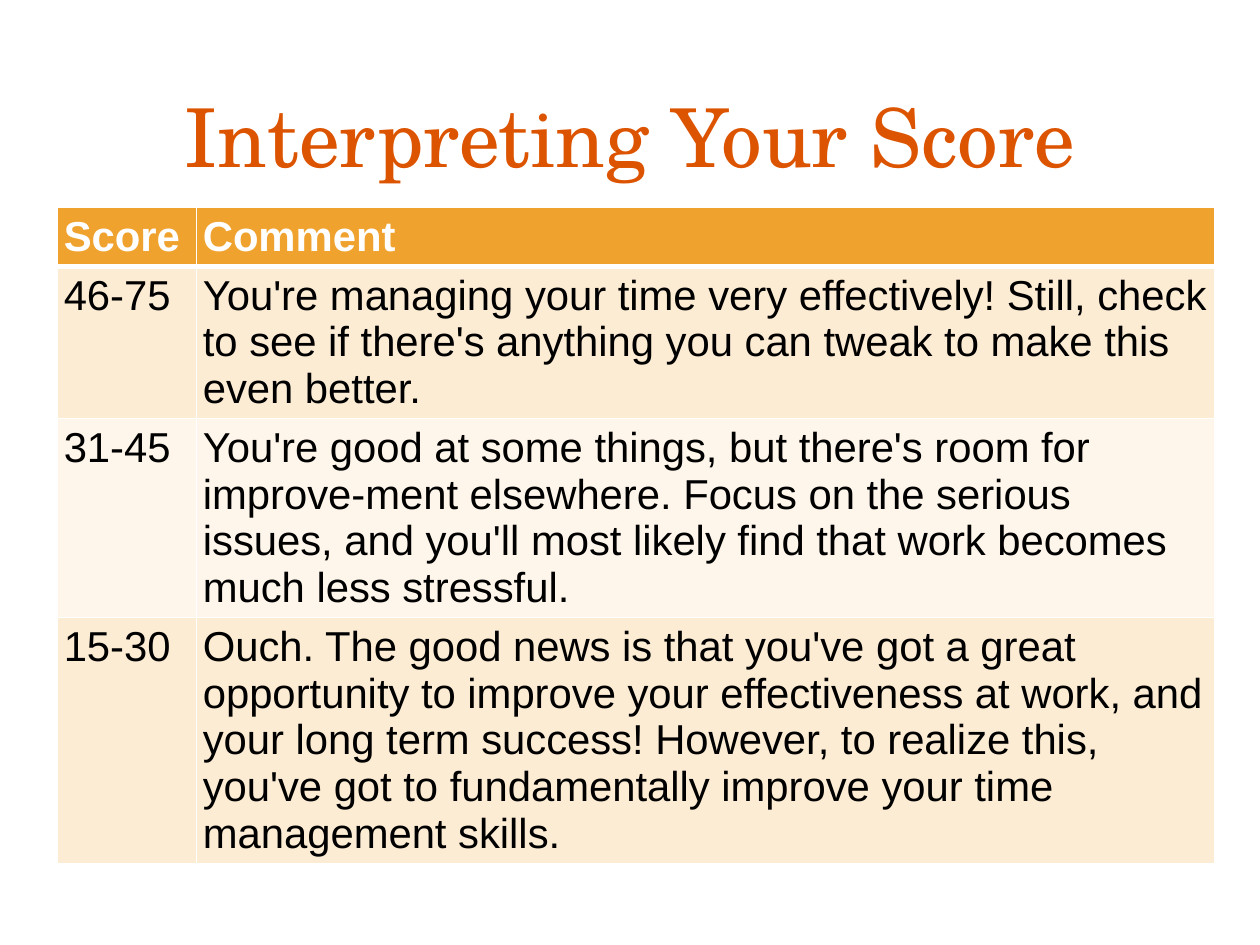
"""Build the slide that explains time management scores in a table."""
from lxml.etree import SubElement
from pptx import Presentation
from pptx.dml.color import RGBColor
from pptx.enum.text import MSO_ANCHOR, PP_ALIGN
from pptx.oxml.ns import qn
from pptx.util import Inches, Pt

TITLE = "Interpreting Your Score"
ROWS = [
    ("Score", "Comment"),
    ("46-75", "You're managing your time very effectively! Still, check to see "
              "if there's anything you can tweak to make this even better."),
    ("31-45", "You're good at some things, but there's room for improve-ment "
              "elsewhere. Focus on the serious issues, and you'll most likely "
              "find that work becomes much less stressful."),
    ("15-30", "Ouch. The good news is that you've got a great opportunity to "
              "improve your effectiveness at work, and your long term success! "
              "However, to realize this, you've got to fundamentally improve "
              "your time management skills."),
]
COLORS = {"title": "DD5400", "header": "F0A22E", "odd": "FCECD4",
          "even": "FEF6EB", "white": "FFFFFF", "black": "000000"}
SLIDE_SIZE = (14.22, 10.67)
TITLE_BOX = (0.9, 0.69, 12.42, 1.67)
TABLE_AT = (0.65, 2.34)
COL_WIDTHS = (1.57, 11.49)
ROW_HEIGHTS = (0.64, 1.66, 2.07, 2.68)
THIN, THICK = 1.42, 4.27


def write(tf, text, size=34, font="Arial", color="black", bold=False,
          align=PP_ALIGN.LEFT):
    """Put one formatted run of text in a text frame."""
    p = tf.paragraphs[0]
    p.alignment = align
    r = p.add_run()
    r.text = text
    r.font.size, r.font.name, r.font.bold = Pt(size), font, bold
    r.font.color.rgb = RGBColor.from_string(COLORS[color])


def set_margins(frame, inset):
    """Give all four sides the same inset."""
    for side in ("left", "right", "top", "bottom"):
        setattr(frame, f"margin_{side}", Inches(inset))


def add_borders(cell, top, bottom):
    """Draw white borders, placed ahead of the cell's fill."""
    props = cell._tc.get_or_add_tcPr()
    widths = {"lnL": THIN, "lnR": THIN, "lnT": top, "lnB": bottom}
    for i, (tag, width) in enumerate(widths.items()):
        ln = SubElement(props, qn(f"a:{tag}"), w=str(Pt(width)))
        fill = SubElement(ln, qn("a:solidFill"))
        SubElement(fill, qn("a:srgbClr"), val=COLORS["white"])
        props.insert(i, ln)


def add_title(s):
    """Place and format the title placeholder."""
    sp = s.shapes.title
    sp.left, sp.top, sp.width, sp.height = map(Inches, TITLE_BOX)
    tf = sp.text_frame
    tf.word_wrap = True
    tf.vertical_anchor = MSO_ANCHOR.MIDDLE
    set_margins(tf, 0.06)
    write(tf, TITLE, size=66, font="TeX Gyre Schola", color="title",
          align=PP_ALIGN.CENTER)


def add_score_table(s):
    """Add the banded table of scores and comments."""
    size = (sum(COL_WIDTHS), sum(ROW_HEIGHTS))
    table = s.shapes.add_table(len(ROWS), len(COL_WIDTHS),
                               *map(Inches, TABLE_AT + size)).table
    for column, width in zip(table.columns, COL_WIDTHS):
        column.width = Inches(width)
    for i, (row, height) in enumerate(zip(ROWS, ROW_HEIGHTS)):
        table.rows[i].height = Inches(height)
        header = i == 0
        band = "header" if header else "odd" if i % 2 else "even"
        for j, text in enumerate(row):
            cell = table.cell(i, j)
            set_margins(cell, 0.07)
            cell.vertical_anchor = (MSO_ANCHOR.MIDDLE if header or j
                                    else MSO_ANCHOR.TOP)
            cell.fill.solid()
            cell.fill.fore_color.rgb = RGBColor.from_string(COLORS[band])
            add_borders(cell, THICK if i == 1 else THIN,
                        THICK if header else THIN)
            write(cell.text_frame, text, bold=header,
                  color="white" if header else "black")


def main():
    """Build and save the presentation."""
    prs = Presentation()
    prs.slide_width, prs.slide_height = map(Inches, SLIDE_SIZE)
    s = prs.slides.add_slide(prs.slide_layouts[5])
    add_title(s)
    add_score_table(s)
    prs.save("out.pptx")


if __name__ == "__main__":
    main()
